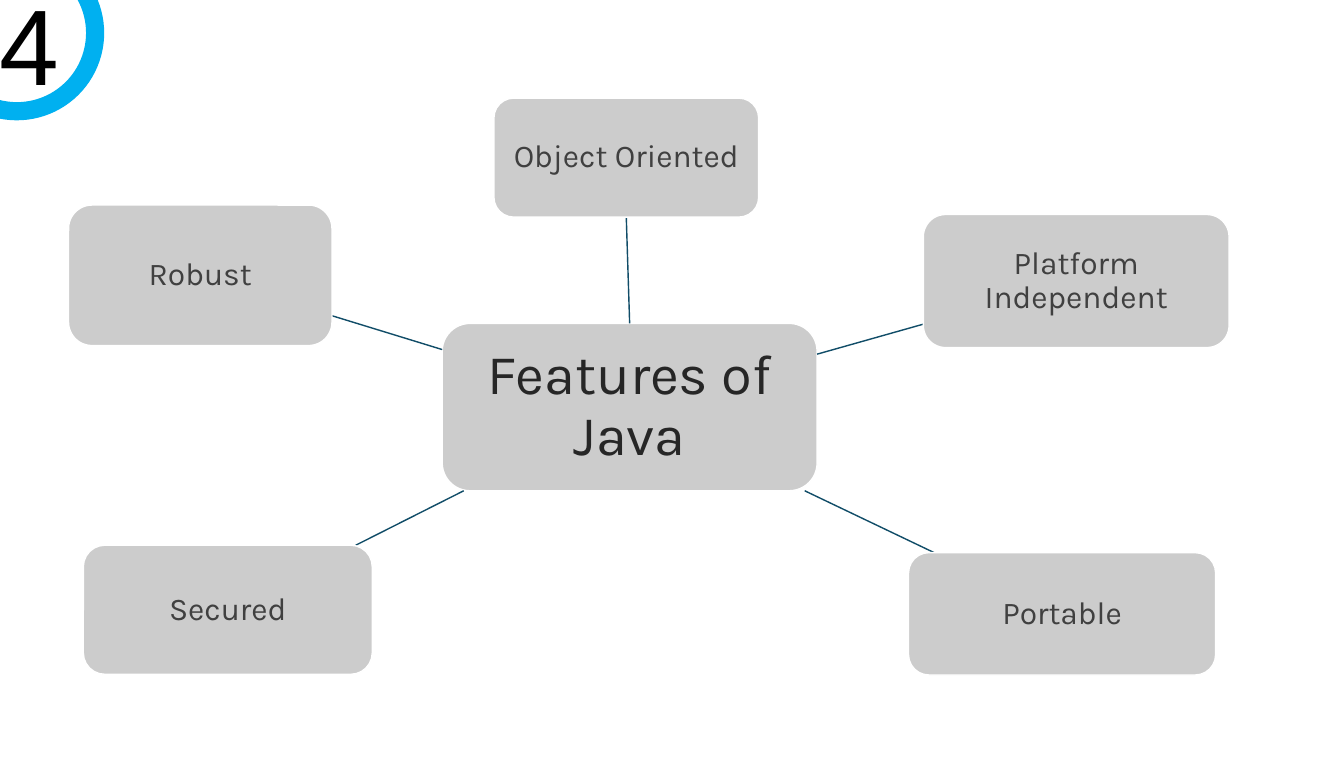
from dataclasses import dataclass

from lxml.etree import SubElement
from pptx import Presentation
from pptx.dml.color import RGBColor as RGB
from pptx.enum.shapes import MSO_CONNECTOR as CONN, MSO_SHAPE as SHAPE
from pptx.enum.text import MSO_ANCHOR as ANCHOR, MSO_AUTO_SIZE as AUTO, PP_ALIGN as ALIGN
from pptx.oxml.ns import qn
from pptx.util import Inches, Pt


@dataclass(frozen=True)
class Theme:
    box: RGB = RGB.from_string("CCCCCC")
    edge: RGB = RGB.from_string("FFFFFF")
    spoke: RGB = RGB.from_string("114D68")
    ring: RGB = RGB.from_string("00B0F0")
    hub_text: RGB = RGB.from_string("262626")
    node_text: RGB = RGB.from_string("404040")
    number_text: RGB = RGB.from_string("000000")
    font: str = "Karla"
    number_font: str = "Arial"
    hub_size: Pt = Pt(60)
    node_size: Pt = Pt(34)
    number_size: Pt = Pt(115)
    line: Pt = Pt(1.5)


THEME = Theme()

HUB = (6.58, 4.81, 5.58, 2.49)
NODES = [
    ("Object Oriented", (7.35, 1.46, 3.94, 1.77)),
    ("Platform Independent", (13.74, 3.19, 4.55, 1.98)),
    ("Portable", (13.52, 8.22, 4.57, 1.82)),
    ("Secured", (1.24, 8.11, 4.3, 1.92)),
    ("Robust", (1.02, 3.05, 3.92, 2.09)),
]
TOP, BOTTOM = 0, 2


def inches(values):
    return [Inches(v) for v in values]


def set_attrs(obj, values):
    for name, value in values.items():
        setattr(obj, name, value)


def write(sp, text, size, color, font, inset, align=ALIGN.CENTER, spacing=0.9, wrap=True):
    tf = sp.text_frame
    set_attrs(tf, {"word_wrap": wrap, "auto_size": AUTO.NONE,
                   "vertical_anchor": ANCHOR.MIDDLE})
    sides = ("margin_left", "margin_top", "margin_right", "margin_bottom")
    set_attrs(tf, dict.fromkeys(sides, Inches(inset)))
    p = tf.paragraphs[0]
    set_attrs(p, {"alignment": align, "line_spacing": spacing})
    r = p.add_run()
    r.text = text
    set_attrs(r.font, {"size": size, "name": font})
    r.font.color.rgb = color


def add_box(slide, box):
    sp = slide.shapes.add_shape(SHAPE.ROUNDED_RECTANGLE, *inches(box))
    sp.shadow.inherit = False
    sp.fill.solid()
    sp.fill.fore_color.rgb = THEME.box
    sp.line.color.rgb = THEME.edge
    sp.line.width = THEME.line
    return sp


def center(box):
    x, y, w, h = box
    return x + w / 2, y + h / 2


def edge_point(box, target):
    """Point where the line from the box centre to the target leaves the box."""
    (cx, cy), (tx, ty) = center(box), target
    dx, dy = tx - cx, ty - cy
    scale = 1 / max(abs(dx) / (box[2] / 2), abs(dy) / (box[3] / 2))
    return cx + dx * scale, cy + dy * scale


def add_spoke(slide, hub_box, node_box):
    start = edge_point(hub_box, center(node_box))
    end = edge_point(node_box, center(hub_box))
    spoke = slide.shapes.add_connector(CONN.STRAIGHT, *inches(start + end))
    spoke.line.color.rgb = THEME.spoke
    spoke.line.width = THEME.line
    SubElement(spoke._element.spPr, qn("a:effectLst"))
    return spoke


def add_hub(slide, box):
    """Hub box with the slide title laid over it."""
    hub = add_box(slide, box)
    x, y, w, h = box
    pad = 0.12
    title = slide.shapes.title
    frame = inches((x + pad, y + pad, w - 2 * pad, h - 2 * pad))
    set_attrs(title, dict(zip(("left", "top", "width", "height"), frame)))
    write(title, "Features of Java", THEME.hub_size, THEME.hub_text, THEME.font, 0.17)
    hub._element.addnext(title._element)
    return hub


def add_mind_map(slide, hub_box, nodes):
    hub = add_hub(slide, hub_box)
    for text, box in nodes:
        spoke = add_spoke(slide, hub_box, box)
        node = add_box(slide, box)
        write(node, text, THEME.node_size, THEME.node_text, THEME.font, 0.09)
        if abs(center(box)[0] - center(hub_box)[0]) < 0.1:
            spoke.begin_connect(hub, TOP)
            spoke.end_connect(node, BOTTOM)


def add_number_badge(slide, box, number):
    """Ring that runs off the corner, with the slide number inside it."""
    x, y, w, h = box
    ring = slide.shapes.add_shape(SHAPE.BLOCK_ARC, *inches(box))
    ring.shadow.inherit = False
    ring.rotation = 127.9
    for i, value in enumerate((108, 208.295, 0.104)):
        ring.adjustments[i] = value
    ring.fill.solid()
    ring.fill.fore_color.rgb = THEME.ring
    ring.line.fill.background()
    label = slide.shapes.add_textbox(*inches((x + 1.05, y + 0.42, 0.87, 2.04)))
    write(label, number, THEME.number_size, THEME.number_text, THEME.number_font,
          0, ALIGN.CENTER, 1.0, False)


def main():
    prs = Presentation()
    prs.slide_width, prs.slide_height = inches((20, 11.26))
    slide = prs.slides.add_slide(prs.slide_layouts[5])
    add_mind_map(slide, HUB, NODES)
    add_number_badge(slide, (-1.05, -0.81, 2.6, 2.6), "4")
    prs.save("out.pptx")


if __name__ == "__main__":
    main()
